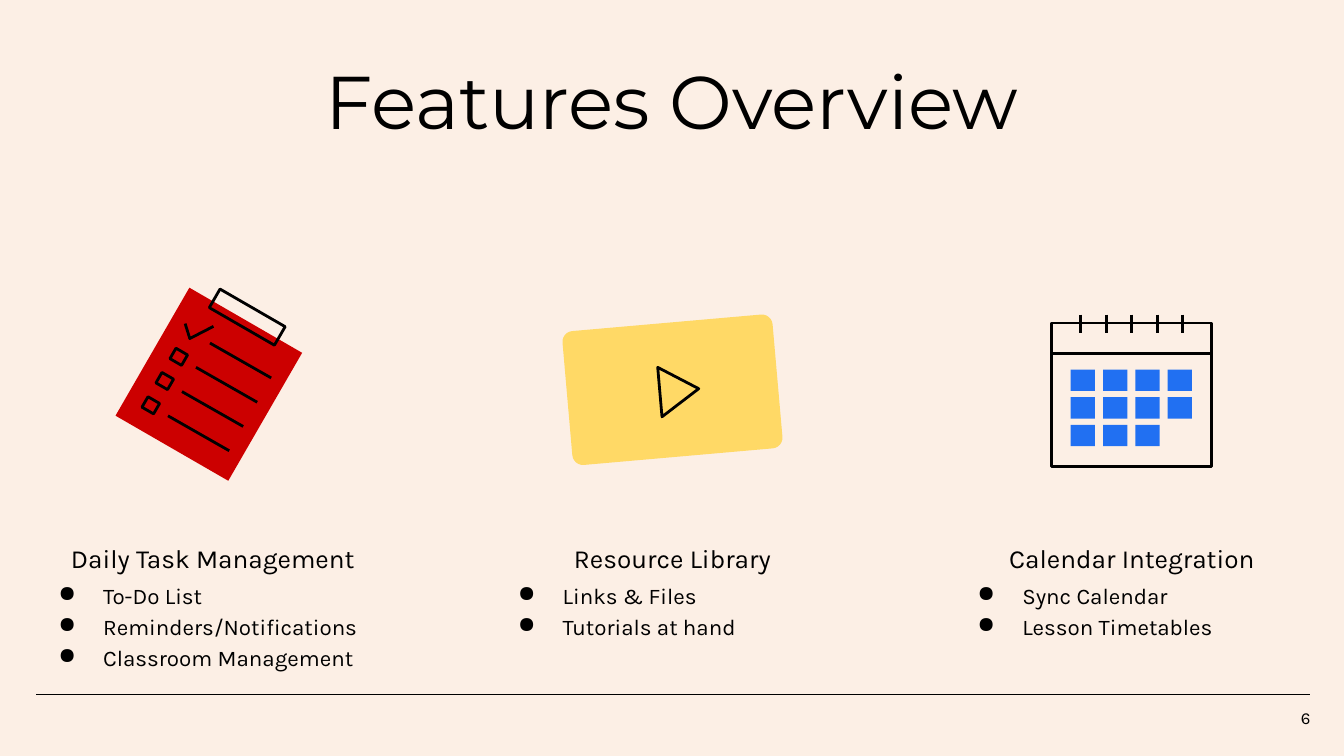
"""Build the Features Overview slide with three illustrated feature columns."""
from dataclasses import dataclass

from lxml import etree
from pptx import Presentation
from pptx.dml.color import RGBColor
from pptx.enum.shapes import MSO_CONNECTOR, MSO_SHAPE
from pptx.enum.text import MSO_ANCHOR, PP_ALIGN
from pptx.oxml.ns import qn
from pptx.util import Pt

RECTANGLE = MSO_SHAPE.RECTANGLE
ROUNDED = MSO_SHAPE.ROUNDED_RECTANGLE
TRIANGLE = MSO_SHAPE.ISOSCELES_TRIANGLE
STRAIGHT = MSO_CONNECTOR.STRAIGHT
LEFT, CENTER, RIGHT = PP_ALIGN.LEFT, PP_ALIGN.CENTER, PP_ALIGN.RIGHT
TOP, MIDDLE = MSO_ANCHOR.TOP, MSO_ANCHOR.MIDDLE


@dataclass(frozen=True)
class Theme:
    background: RGBColor = RGBColor(0xFC, 0xEF, 0xE5)
    ink: RGBColor = RGBColor(0, 0, 0)
    clipboard: RGBColor = RGBColor(0xCC, 0, 0)
    video: RGBColor = RGBColor(0xFF, 0xD9, 0x66)
    calendar: RGBColor = RGBColor(0x21, 0x70, 0xF2)
    heading_font: str = "Montserrat"
    body_font: str = "Karla"
    title_size: int = 40
    subtitle_size: int = 14
    body_size: int = 12
    number_size: int = 9
    stroke: float = 1.5
    hairline: float = 0.75


theme = Theme()


def add_text(box, lines, size, font=theme.body_font, align=LEFT,
             spacing=1.15, anchor=TOP, bullets=False):
    shape = slide.shapes.add_textbox(*map(Pt, box))
    frame = shape.text_frame
    frame.word_wrap = True
    frame.vertical_anchor = anchor
    frame.margin_left = frame.margin_right = Pt(7.2)
    frame.margin_top = frame.margin_bottom = Pt(7.2)
    for index, line in enumerate(lines):
        paragraph = frame.add_paragraph() if index else frame.paragraphs[0]
        paragraph.alignment = align
        paragraph.line_spacing = spacing
        run = paragraph.add_run()
        run.text = line
        run.font.size = Pt(size)
        run.font.name = font
        run.font.color.rgb = theme.ink
        if bullets:
            properties = paragraph._p.get_or_add_pPr()
            properties.set("marL", str(Pt(36)))
            properties.set("indent", str(Pt(-24)))
            etree.SubElement(properties, qn("a:buChar")).set("char", "●")


def style_shape(shape, fill=None):
    shape.shadow.inherit = False
    if fill is None:
        shape.fill.background()
        shape.line.color.rgb = theme.ink
        shape.line.width = Pt(theme.stroke)
    else:
        shape.fill.solid()
        shape.fill.fore_color.rgb = fill
        shape.line.fill.background()


presentation = Presentation()
presentation.slide_width = Pt(720)
presentation.slide_height = Pt(405)
slide = presentation.slides.add_slide(presentation.slide_layouts[6])
slide.background.fill.solid()
slide.background.fill.fore_color.rgb = theme.background

add_text((666, 372.4, 43.2, 24.5), ["6"], theme.number_size,
         align=RIGHT, spacing=1, anchor=MIDDLE)
add_text((165.6, 27.4, 388.8, 67.7), ["Features Overview"], theme.title_size,
         font=theme.heading_font, align=CENTER, spacing=0.9)

features = [
    ("Daily Task Management",
     ["To-Do List", "Reminders/Notifications", "Classroom Management"]),
    ("Resource Library", ["Links & Files", "Tutorials at hand"]),
    ("Calendar Integration", ["Sync Calendar", "Lesson Timetables"]),
]
for column, (heading, items) in enumerate(features):
    left = 12.2 + 246.2 * column
    add_text((left, 302.4, 203.8, 57.6), items, theme.body_size, bullets=True)
    add_text((left, 280.8, 203.8, 24.5), [heading], theme.subtitle_size, align=CENTER)

icon_shapes = [
    (RECTANGLE, (77, 166.3, 69.8, 79.2), 30, theme.clipboard),
    (RECTANGLE, (112.3, 164.2, 40.3, 11.5), 30, None),
    (RECTANGLE, (563.2, 173, 86, 76.8), 0, None),
    (ROUNDED, (303.8, 172.8, 113, 72), 355, theme.video),
    (TRIANGLE, (350.6, 198.7, 26.6, 20.9), 85, None),
]
for row in range(3):
    icon_shapes.append(
        (RECTANGLE, (92.2 - 7.5 * row, 187.9 + 13 * row, 7.2, 6.5), 30, None))
for day in range(11):
    row, column = divmod(day, 4)
    icon_shapes.append(
        (RECTANGLE, (573.6 + 17.3 * column, 198 + 14.8 * row, 13, 11.5), 0,
         theme.calendar))
for kind, box, rotation, fill in icon_shapes:
    shape = slide.shapes.add_shape(kind, *map(Pt, box))
    shape.rotation = rotation
    style_shape(shape, fill)
    if kind == ROUNDED:
        shape.adjustments[0] = 0.08

check_builder = slide.shapes.build_freeform(Pt(99.2), Pt(173.4))
check_builder.add_line_segments(
    [(Pt(101.7), Pt(181.4)), (Pt(114.4), Pt(174.9))], close=False)
style_shape(check_builder.convert_to_shape())

lines = [
    (19.4, 372, 702, 372, theme.hairline),
    (563.2, 189.4, 649.2, 189.4, theme.stroke),
]
for row in range(4):
    left, top = 112.5 - 7.5 * row, 183.8 + 13 * row
    lines.append((left, top, left + 32.8, top + 18.7, theme.stroke))
for ring in range(5):
    left = 578.9 + 13.68 * ring
    lines.append((left, 168.5, left, 178.6, theme.stroke))
for *ends, width in lines:
    connector = slide.shapes.add_connector(STRAIGHT, *map(Pt, ends))
    connector.line.color.rgb = theme.ink
    connector.line.width = Pt(width)
    etree.SubElement(connector._element.spPr, qn("a:effectLst"))

presentation.save("out.pptx")
